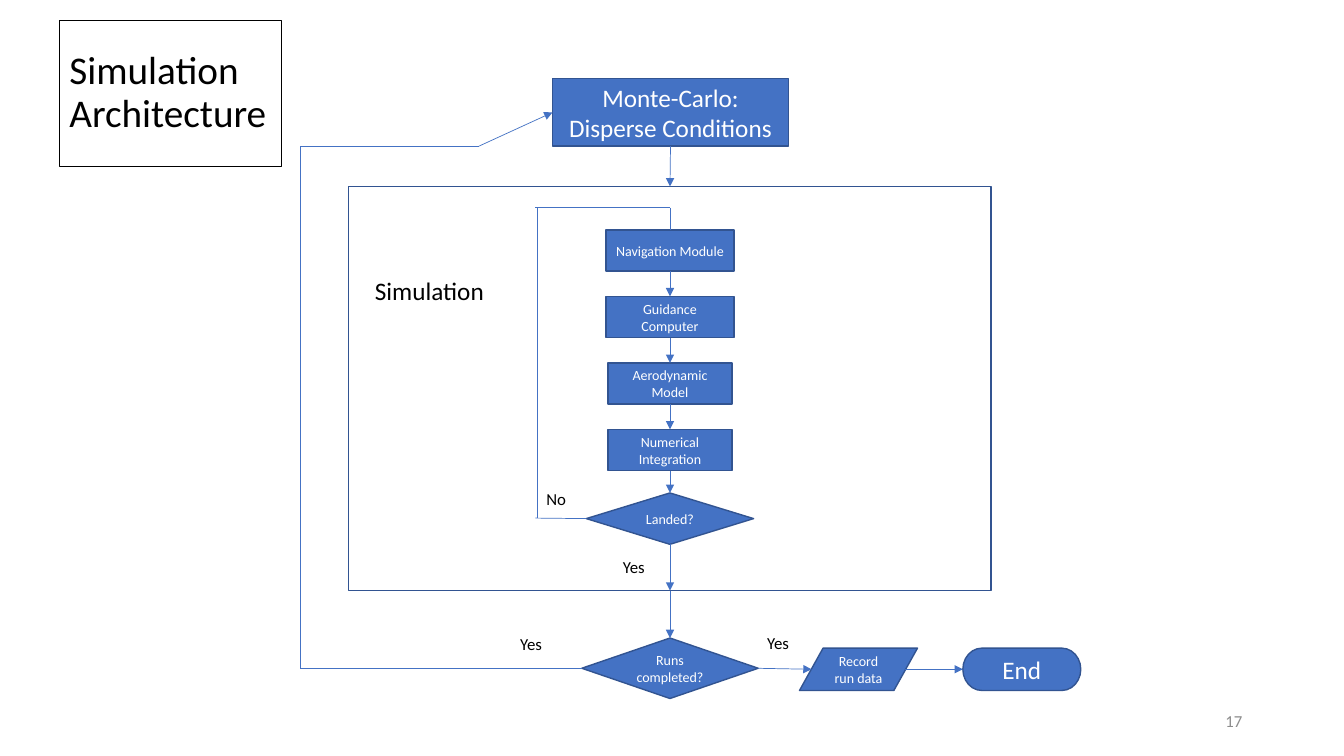
from pptx import Presentation
from pptx.dml.color import RGBColor
from pptx.enum.shapes import MSO_CONNECTOR, MSO_SHAPE
from pptx.enum.text import MSO_ANCHOR, PP_ALIGN
from pptx.oxml.ns import qn
from pptx.util import Inches, Pt
from lxml import etree

PROCESS = MSO_SHAPE.FLOWCHART_PROCESS
DECISION = MSO_SHAPE.FLOWCHART_DECISION
DATA = MSO_SHAPE.FLOWCHART_DATA
TERMINATOR = MSO_SHAPE.FLOWCHART_TERMINATOR
RECTANGLE = MSO_SHAPE.RECTANGLE
STRAIGHT = MSO_CONNECTOR.STRAIGHT
MIDDLE, ANCHOR_TOP = MSO_ANCHOR.MIDDLE, MSO_ANCHOR.TOP
ALIGN_LEFT, ALIGN_CENTER, ALIGN_RIGHT = PP_ALIGN.LEFT, PP_ALIGN.CENTER, PP_ALIGN.RIGHT
TOP, LEFT, BOTTOM, RIGHT = range(4)

FONT = "Calibri"
BLUE, DARK_BLUE = "4472C4", "325491"
BLACK, WHITE, GRAY = "000000", "FFFFFF", "8C8C8C"


def color(hex_string):
    return RGBColor.from_string(hex_string)


def write(shape, text, size, font_color, align=ALIGN_LEFT, anchor=ANCHOR_TOP, wrap=True):
    frame = shape.text_frame
    frame.word_wrap = wrap
    frame.vertical_anchor = anchor
    paragraph = frame.paragraphs[0]
    paragraph.alignment = align
    run = paragraph.add_run()
    run.text = text
    run.font.name = FONT
    run.font.size = Pt(size)
    run.font.color.rgb = color(font_color)
    return paragraph


def add_outline(slide, kind, box, line_color, line_width):
    shape = slide.shapes.add_shape(kind, *map(Inches, box))
    shape.shadow.inherit = False
    shape.fill.background()
    shape.line.color.rgb = color(line_color)
    shape.line.width = Pt(line_width)
    return shape


def add_step(slide, kind, box, text, size=10):
    """Add a filled flowchart symbol with centred white text."""
    shape = add_outline(slide, kind, box, DARK_BLUE, 1)
    shape.fill.solid()
    shape.fill.fore_color.rgb = color(BLUE)
    write(shape, text, size, WHITE, ALIGN_CENTER, MIDDLE)
    return shape


def add_label(slide, left, top, text):
    label = slide.shapes.add_textbox(*map(Inches, (left, top, 0.42, 0.3)))
    write(label, text, 12, BLACK, wrap=False)


def add_link(slide, start, end, arrow=True):
    """Draw a line; each end is an (x, y) point or a (shape, side) pair."""
    def is_point(place):
        return isinstance(place[0], (int, float))

    points = [place if is_point(place) else (0, 0) for place in (start, end)]
    link = slide.shapes.add_connector(
        STRAIGHT, *(Inches(value) for point in points for value in point))
    if not is_point(start):
        link.begin_connect(*start)
    if not is_point(end):
        link.end_connect(*end)
    link.line.color.rgb = color(BLUE)
    link.line.width = Pt(0.5)
    if arrow:
        tail = etree.SubElement(link.line._get_or_add_ln(), qn("a:tailEnd"))
        tail.set("type", "triangle")
    etree.SubElement(link._element.spPr, qn("a:effectLst"))


def add_title(slide, box):
    title = add_outline(slide, RECTANGLE, box, BLACK, 0.75)
    paragraph = write(title, "Simulation Architecture", 28, BLACK, anchor=MIDDLE)
    paragraph.line_spacing = 0.9


def add_page_number(slide, box):
    number = slide.shapes.add_textbox(*map(Inches, box))
    write(number, "17", 12, GRAY, ALIGN_RIGHT, MIDDLE)


def add_simulation(slide, box):
    """Add the framed inner loop and return its frame."""
    left, top, width, height = box
    center = left + width / 2
    frame = add_outline(slide, PROCESS, box, DARK_BLUE, 1)
    caption = slide.shapes.add_textbox(
        *map(Inches, (left + 0.16, top + 0.83, 1.51, 0.4)))
    write(caption, "Simulation", 18, BLACK)

    modules = (("Navigation Module", 1.27), ("Guidance Computer", 1.27),
               ("Aerodynamic Model", 1.23), ("Numerical Integration", 1.23))
    steps = [
        add_step(slide, PROCESS,
                 (center - module_width / 2, top + 0.43 + 0.66 * index, module_width, 0.41),
                 text)
        for index, (text, module_width) in enumerate(modules)
    ]
    landed = add_step(slide, DECISION, (center - 0.83, top + 3.04, 1.66, 0.51), "Landed?")
    steps.append(landed)
    for upper, lower in zip(steps, steps[1:]):
        add_link(slide, (upper, BOTTOM), (lower, TOP))
    add_link(slide, (landed, BOTTOM), (frame, BOTTOM))

    loop_x, loop_top, loop_bottom = left + 1.87, top + 0.21, top + 3.29
    add_link(slide, (landed, LEFT), (loop_x - 0.02, loop_bottom), arrow=False)
    add_link(slide, (loop_x, loop_bottom), (loop_x, loop_top), arrow=False)
    add_link(slide, (loop_x - 0.02, loop_top), (center, loop_top), arrow=False)
    add_link(slide, (center, loop_top), (steps[0], TOP), arrow=False)
    add_label(slide, left + 1.86, top + 2.95, "No")
    add_label(slide, left + 2.62, top + 3.62, "Yes")
    return frame


def add_run_check(slide, box):
    """Add the bottom row and return its decision symbol."""
    left, top, width, height = box
    middle = top + height / 2
    symbol_top = middle - 0.2
    decision = add_step(slide, DECISION, (left, top, 1.75, height), "Runs completed?")
    record_left = left + 2.16
    add_step(slide, DATA, (record_left, symbol_top, 1.17, 0.42), "Record run data")
    end = add_step(slide, TERMINATOR, (left + width - 1.17, symbol_top, 1.17, 0.42), "End", 18)
    add_link(slide, (decision, RIGHT), (record_left + 0.12, middle + 0.01))
    add_link(slide, (record_left + 1.05, middle + 0.01), (end, LEFT))
    add_label(slide, left - 0.71, top - 0.09, "Yes")
    add_label(slide, left + 1.74, top - 0.1, "Yes")
    return decision


def add_flowchart(slide, box):
    """Add the Monte-Carlo loop around the simulation frame."""
    left, top, width, height = box
    monte_carlo = add_step(slide, PROCESS, (left + 2.5, top, 2.34, 0.67),
                           "Monte-Carlo: Disperse Conditions", 18)
    simulation = add_simulation(slide, (left + 0.48, top + 1.07, 6.37, 4.01))
    decision = add_run_check(slide, (left + 2.79, top + height - 0.6, width - 2.79, 0.6))
    add_link(slide, (monte_carlo, BOTTOM), (simulation, TOP))
    add_link(slide, (simulation, BOTTOM), (decision, TOP))

    corner = (left, top + height - 0.3)
    upper_corner = (left, top + 0.67)
    bend = (left + 1.77, top + 0.67)
    add_link(slide, (decision, LEFT), corner, arrow=False)
    add_link(slide, corner, upper_corner, arrow=False)
    add_link(slide, upper_corner, bend, arrow=False)
    add_link(slide, bend, (monte_carlo, LEFT))


def main():
    presentation = Presentation()
    presentation.slide_width = Inches(13.33)
    presentation.slide_height = Inches(7.5)
    slide = presentation.slides.add_slide(presentation.slide_layouts[6])
    add_title(slide, (0.59, 0.2, 2.2, 1.45))
    add_flowchart(slide, (2.98, 0.78, 7.74, 6.15))
    add_page_number(slide, (9.42, 6.95, 3, 0.4))
    presentation.save("out.pptx")


if __name__ == "__main__":
    main()
